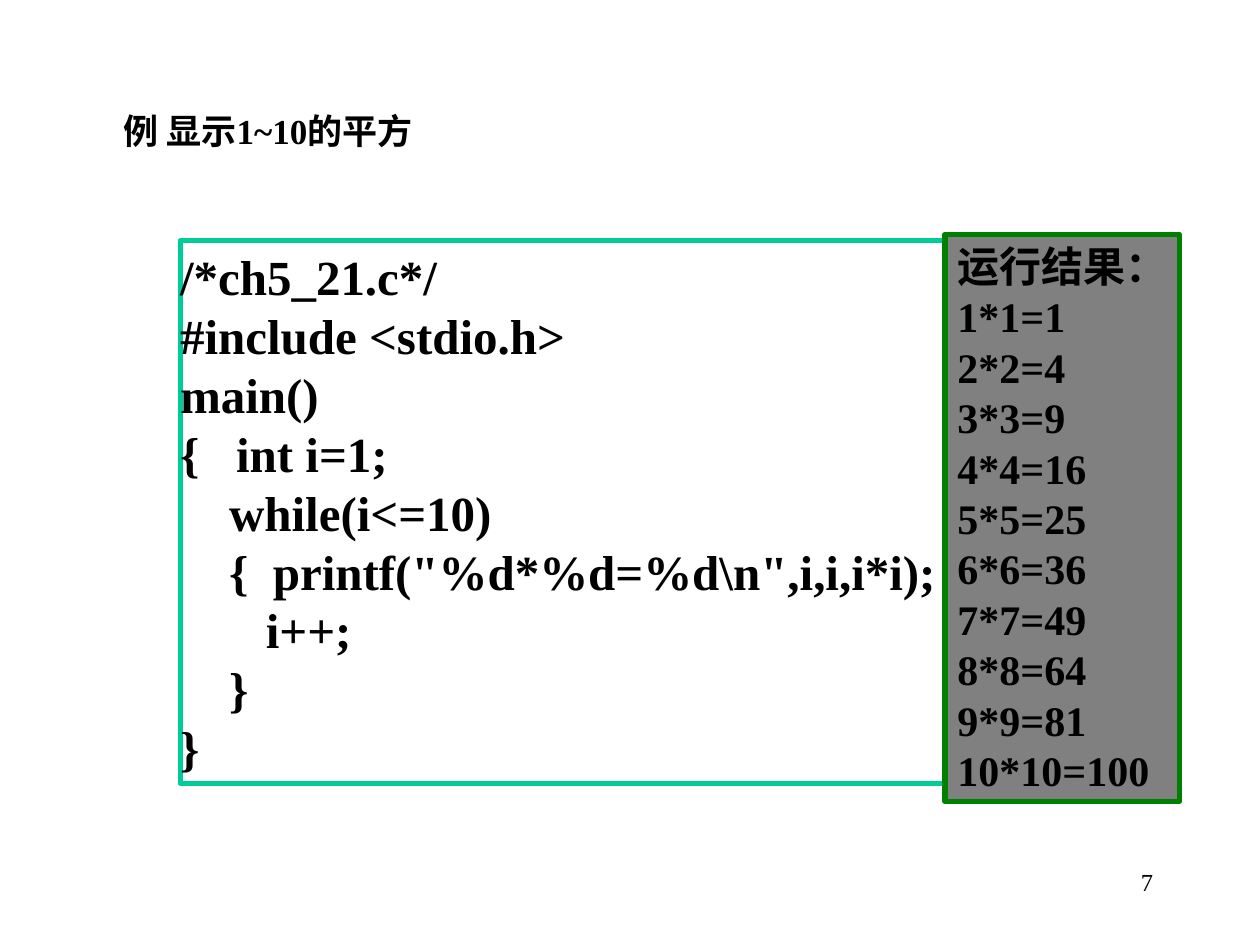
from pptx import Presentation
from pptx.dml.color import RGBColor
from pptx.enum.shapes import MSO_SHAPE
from pptx.enum.text import MSO_ANCHOR, MSO_AUTO_SIZE, PP_ALIGN
from pptx.util import Inches, Pt

RECTANGLE = MSO_SHAPE.RECTANGLE
TOP = MSO_ANCHOR.TOP
NO_AUTOFIT = MSO_AUTO_SIZE.NONE
LEFT, RIGHT = PP_ALIGN.LEFT, PP_ALIGN.RIGHT

# Content
TITLE = "例 显示1~10的平方"
CODE = [
    "/*ch5_21.c*/",
    "#include <stdio.h>",
    "main()",
    "{   int i=1;",
    "    while(i<=10)",
    '    {  printf("%d*%d=%d\\n",i,i,i*i);',
    "       i++;",
    "    }",
    "}",
]
RESULTS = ["运行结果："] + [f"{n}*{n}={n * n}" for n in range(1, 11)]
PAGE_NUMBER = "7"

FONT = "Times New Roman"
COLORS = {
    "text": "000000",
    "code_fill": "FFFFFF",
    "code_line": "00CC99",
    "result_fill": "808080",
    "result_line": "008000",
}


def color(name):
    return RGBColor.from_string(COLORS[name])


def write(shape, lines, size, bold=True, align=LEFT, wrap=False, left_inset=0.1):
    text_frame = shape.text_frame
    text_frame.text = "\n".join(lines)
    text_frame.auto_size = NO_AUTOFIT
    text_frame.word_wrap = wrap
    text_frame.vertical_anchor = TOP
    text_frame.margin_left = Inches(left_inset)
    for paragraph in text_frame.paragraphs:
        paragraph.alignment = align
        for run in paragraph.runs:
            run.font.name = FONT
            run.font.size = Pt(size)
            run.font.bold = bold
            run.font.color.rgb = color("text")


def add_panel(slide, box, kind):
    panel = slide.shapes.add_shape(RECTANGLE, *map(Inches, box))
    panel.shadow.inherit = False
    panel.fill.solid()
    panel.fill.fore_color.rgb = color(f"{kind}_fill")
    panel.line.color.rgb = color(f"{kind}_line")
    panel.line.width = Pt(3)
    return panel


presentation = Presentation()
presentation.slide_width = Inches(10)
presentation.slide_height = Inches(7.5)
slide = presentation.slides.add_slide(presentation.slide_layouts[5])

# Title
title = slide.shapes.title
title.left, title.top, title.width, title.height = map(Inches, (0.88, 0.82, 2.63, 0.44))
write(title, [TITLE], 20)

# Program listing and its output
code_panel = add_panel(slide, (1.43, 1.91, 6.09, 4.31), "code")
write(code_panel, CODE, 28, left_inset=0)
result_panel = add_panel(slide, (7.5, 1.86, 1.86, 4.5), "result")
write(result_panel, RESULTS, 24)

# Page number
page_box = slide.shapes.add_textbox(*map(Inches, (7.17, 6.83, 2.08, 0.5)))
write(page_box, [PAGE_NUMBER], 14, bold=False, align=RIGHT, wrap=True)

presentation.save("out.pptx")
